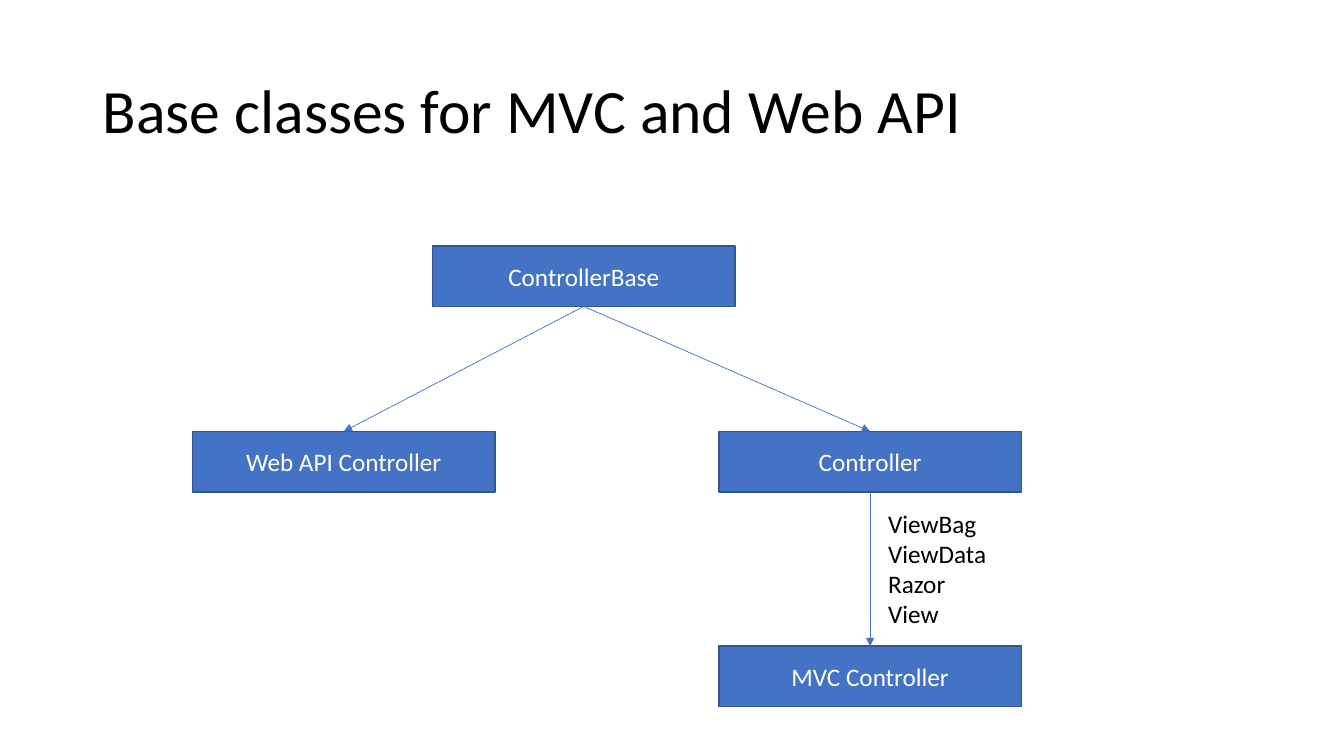
from pptx import Presentation
from pptx.dml.color import RGBColor
from pptx.enum.shapes import MSO_CONNECTOR as CONN, MSO_SHAPE as SHAPE
from pptx.enum.text import MSO_ANCHOR as ANCHOR, PP_ALIGN as ALIGN
from pptx.oxml.ns import qn
from pptx.util import Inches, Pt
from lxml.etree import SubElement

BLACK = RGBColor(0x00, 0x00, 0x00)
WHITE = RGBColor(0xFF, 0xFF, 0xFF)
BLUE = RGBColor(0x44, 0x72, 0xC4)
DARK_BLUE = RGBColor(0x32, 0x54, 0x91)
SLIDE_W, SLIDE_H = 13.33, 7.5
BOX_W, BOX_H = 3, 0.6
BOTTOM, TOP = 2, 0  # connection sites of a rectangle

# Class name: left and top within the diagram
CLASSES = {
    "ControllerBase": (2.38, 0),
    "Web API Controller": (0, 1.84),
    "Controller": (5.22, 1.84),
    "MVC Controller": (5.22, 3.97),
}
INHERITANCE = [
    ("ControllerBase", "Web API Controller"),
    ("ControllerBase", "Controller"),
    ("Controller", "MVC Controller"),
]
VIEW_FEATURES = ["ViewBag", "ViewData", "Razor", "View"]


def write(sp, *lines, size=18, color=BLACK, align=ALIGN.LEFT,
          anchor=ANCHOR.TOP, spacing=1.0):
    tf = sp.text_frame
    tf.word_wrap = True
    tf.vertical_anchor = anchor
    for i, line in enumerate(lines):
        p = tf.add_paragraph() if i else tf.paragraphs[0]
        p.alignment, p.line_spacing = align, spacing
        r = p.add_run()
        r.text = line
        r.font.name, r.font.size = "Calibri", Pt(size)
        r.font.color.rgb = color


def add_title(s, text, x, y, w, h):
    sp = s.shapes.title
    sp.left, sp.top, sp.width, sp.height = map(Inches, (x, y, w, h))
    write(sp, text, size=44, anchor=ANCHOR.MIDDLE, spacing=0.9)


def add_class(s, name, x, y):
    sp = s.shapes.add_shape(SHAPE.RECTANGLE, *map(Inches, (x, y, BOX_W, BOX_H)))
    sp.shadow.inherit = False
    sp.fill.solid()
    sp.fill.fore_color.rgb = BLUE
    sp.line.color.rgb = DARK_BLUE
    sp.line.width = Pt(1)
    write(sp, name, color=WHITE, align=ALIGN.CENTER, anchor=ANCHOR.MIDDLE)
    return sp


def add_arrow(s, parent, child):
    line = s.shapes.add_connector(CONN.STRAIGHT, 0, 0, 0, 0)
    line.begin_connect(parent, BOTTOM)
    line.end_connect(child, TOP)
    line.line.color.rgb = BLUE
    line.line.width = Pt(0.5)
    SubElement(line.line._get_or_add_ln(), qn("a:tailEnd"), type="triangle")
    SubElement(line._element.spPr, qn("a:effectLst"))


def add_diagram(s, x, y):
    # Class boxes
    boxes = {name: add_class(s, name, x + dx, y + dy)
             for name, (dx, dy) in CLASSES.items()}
    # Arrows from base class to derived class
    for parent, child in INHERITANCE:
        add_arrow(s, boxes[parent], boxes[child])
    # Features beside the lower arrow
    features = s.shapes.add_textbox(*map(Inches, (x + 6.8, y + 2.55, 1.99, 1.31)))
    write(features, *VIEW_FEATURES)


prs = Presentation()
prs.slide_width, prs.slide_height = Inches(SLIDE_W), Inches(SLIDE_H)
s = prs.slides.add_slide(prs.slide_layouts[5])
add_title(s, "Base classes for MVC and Web API", 0.92, 0.4, 11.5, 1.45)
add_diagram(s, 1.91, 2.44)
prs.save("out.pptx")
